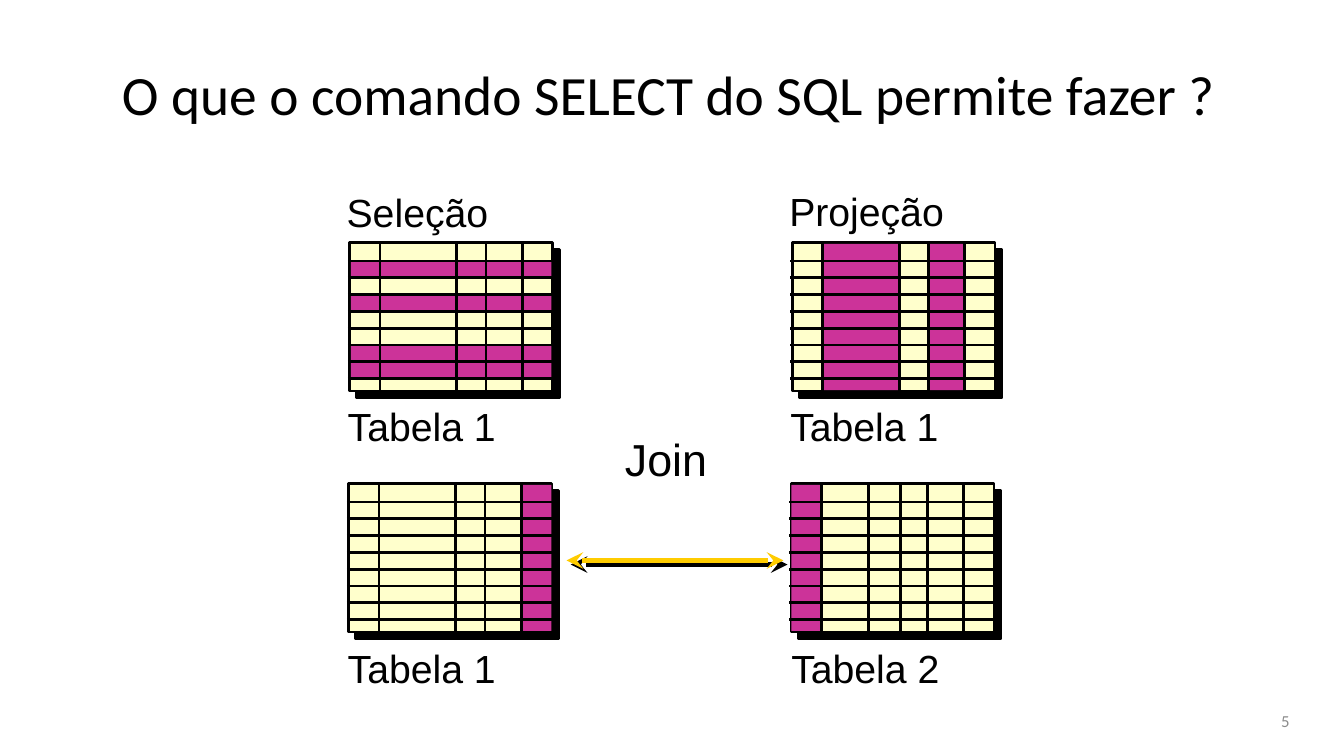
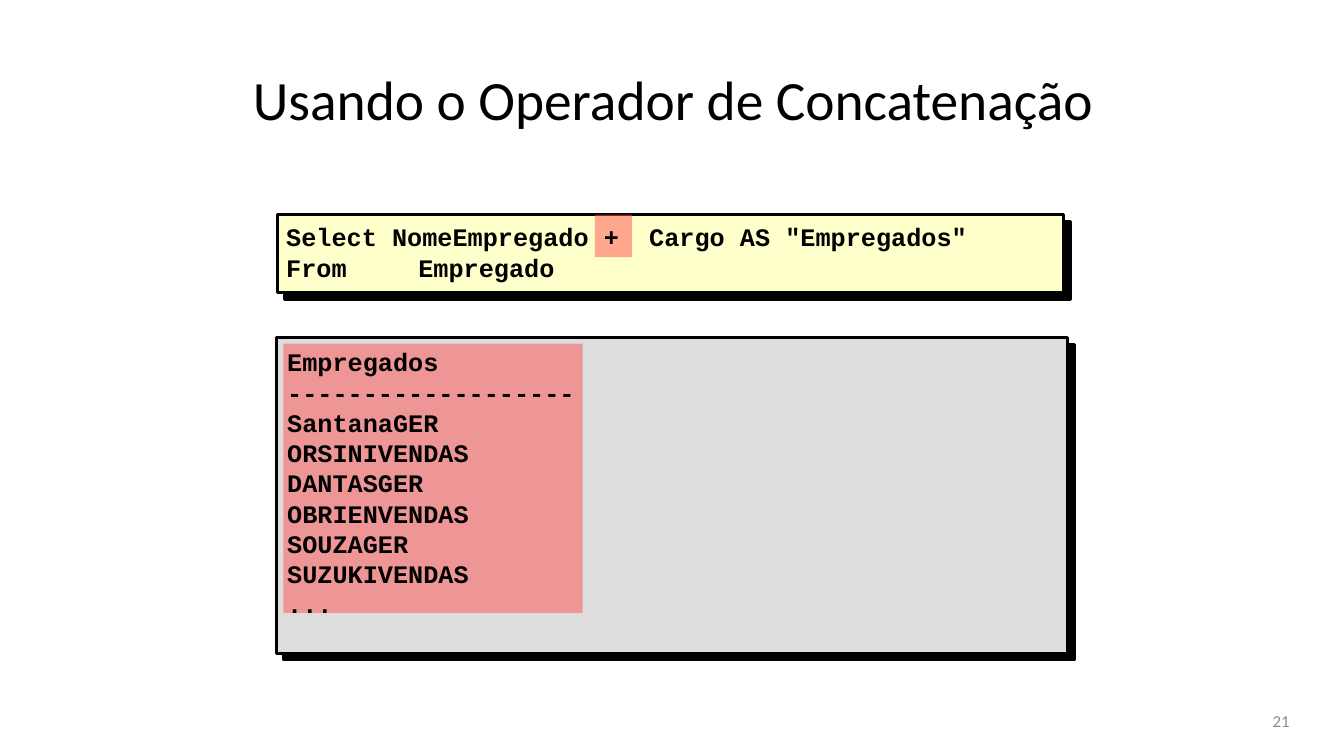
import lxml.etree
import pptx
import pptx.dml.color
import pptx.enum.shapes
import pptx.enum.text
import pptx.oxml.ns
import pptx.util

Inches = pptx.util.Inches
Pt = pptx.util.Pt
RGBColor = pptx.dml.color.RGBColor
qn = pptx.oxml.ns.qn
SubElement = lxml.etree.SubElement
ALIGN = pptx.enum.text.PP_ALIGN
ANCHOR = pptx.enum.text.MSO_ANCHOR

BLACK = RGBColor(0x00, 0x00, 0x00)
GRAY = RGBColor(0x8C, 0x8C, 0x8C)
LIGHT_GRAY = RGBColor(0xDD, 0xDD, 0xDD)
CREAM = RGBColor(0xFF, 0xFF, 0xCC)
MAGENTA = RGBColor(0xCC, 0x33, 0x99)
RED = RGBColor(0xFF, 0x50, 0x50)
GOLD = RGBColor(0xFF, 0xCC, 0x00)

GRID_WIDTH = 2.01
GRID_HEIGHT = 1.47
ROW_EDGES = [0, *(0.18 + i / 6 for i in range(8)), GRID_HEIGHT]
COLUMNS = (0.3, 1.06, 1.35, 1.71)
JOIN_COLUMNS = (0.3, 0.76, 1.08, 1.35, 1.71)


def add_text(slide, box, lines, font_name, size, color=BLACK, bold=False,
             align=ALIGN.LEFT, anchor=ANCHOR.TOP, wrap=True, spacing=None):
    shape = slide.shapes.add_textbox(*map(Inches, box))
    frame = shape.text_frame
    frame.word_wrap = wrap
    frame.vertical_anchor = anchor
    frame.text = "\n".join(lines)
    for paragraph in frame.paragraphs:
        paragraph.alignment = align
        paragraph.line_spacing = spacing
        font = paragraph.font
        font.name = font_name
        font.size = Pt(size)
        font.bold = bold
        font.color.rgb = color
    return shape


def add_title(slide, box, text):
    add_text(slide, box, [text], "Calibri", 39.6, anchor=ANCHOR.MIDDLE)


def add_slide_number(slide, number):
    add_text(slide, (9.78, 6.95, 3.11, 0.4), [str(number)], "Calibri", 12,
             GRAY, align=ALIGN.RIGHT, anchor=ANCHOR.MIDDLE)


def add_label(slide, left, top, width, text, size=28):
    add_text(slide, (left, top, width, size / 50), [text], "Arial", size,
             wrap=False)


def add_code(slide, box, lines, anchor=ANCHOR.TOP):
    return add_text(slide, box, lines, "Courier New", 18, bold=True,
                    anchor=anchor, spacing=Pt(21.6))


def add_shadow(effects, distance):
    shadow = SubElement(effects, qn("a:outerShdw"), blurRad="0",
                        dist=str(Pt(distance)), dir="2700000",
                        algn="ctr", rotWithShape="0")
    SubElement(shadow, qn("a:srgbClr"), val=str(BLACK))


def add_rectangle(slide, box, color, opacity=None):
    shape = slide.shapes.add_shape(
        pptx.enum.shapes.MSO_SHAPE.RECTANGLE, *map(Inches, box))
    shape.shadow.inherit = False
    shape.fill.solid()
    shape.fill.fore_color.rgb = color
    shape.line.fill.background()
    if opacity:
        fill = shape._element.spPr.find(qn("a:solidFill"))
        SubElement(fill[0], qn("a:alpha"), val=str(opacity * 1000))
    return shape


def add_panel(slide, box, color):
    panel = add_rectangle(slide, box, color)
    panel.line.color.rgb = BLACK
    panel.line.width = Pt(2)
    add_shadow(panel._element.spPr.find(qn("a:effectLst")), 7.1)


def add_line(slide, ends, color=BLACK, width=2):
    line = slide.shapes.add_connector(
        pptx.enum.shapes.MSO_CONNECTOR.STRAIGHT, *map(Inches, ends))
    line.line.color.rgb = color
    line.line.width = Pt(width)
    SubElement(line._element.spPr, qn("a:effectLst"))
    return line


def add_double_arrow(slide, ends):
    arrow = add_line(slide, ends, GOLD, 4)
    properties = arrow._element.spPr
    outline = properties.find(qn("a:ln"))
    for end in ("a:headEnd", "a:tailEnd"):
        SubElement(outline, qn(end), type="stealth")
    add_shadow(properties.find(qn("a:effectLst")), 4.2)


def add_grid(slide, left, top, columns, marked_rows=(), marked_columns=()):
    add_panel(slide, (left, top, GRID_WIDTH, GRID_HEIGHT), CREAM)
    column_edges = [0, *columns, GRID_WIDTH]
    for row in marked_rows:
        start, end = ROW_EDGES[row:row + 2]
        add_rectangle(slide, (left + 0.01, top + start, GRID_WIDTH - 0.02,
                              end - start), MAGENTA)
    for column in marked_columns:
        start, end = column_edges[column:column + 2]
        add_rectangle(slide, (left + start, top + 0.01, end - start,
                              GRID_HEIGHT - 0.02), MAGENTA)
    for x in columns:
        add_line(slide, (left + x, top - 0.01, left + x, top + 1.49))
    for y in ROW_EDGES[1:-1]:
        add_line(slide, (left - 0.02, top + y, left + 2.02, top + y))


def build_select_slide(slide):
    add_title(slide, (1.11, 0.3, 11.78, 1.25),
              "O que o comando SELECT do SQL permite fazer ?")
    add_grid(slide, 3.47, 2.41, COLUMNS, marked_rows=(1, 3, 6, 7))
    add_grid(slide, 7.86, 2.41, COLUMNS, marked_columns=(1, 3))
    add_grid(slide, 3.46, 4.8, COLUMNS, marked_columns=(4,))
    add_grid(slide, 7.85, 4.8, JOIN_COLUMNS, marked_columns=(0,))
    add_label(slide, 3.34, 1.82, 1.63, "Seleção")
    add_label(slide, 7.73, 1.81, 1.76, "Projeção")
    add_label(slide, 3.35, 3.94, 1.69, "Tabela 1")
    add_label(slide, 7.74, 3.94, 1.69, "Tabela 1")
    add_label(slide, 3.35, 6.34, 1.69, "Tabela 1")
    add_label(slide, 7.75, 6.34, 1.69, "Tabela 2")
    add_label(slide, 6.1, 4.23, 1.03, "Join", 32)
    add_double_arrow(slide, (5.62, 5.56, 7.77, 5.56))
    add_slide_number(slide, 5)


def build_concatenation_slide(slide):
    add_title(slide, (2.41, 0.44, 8.84, 1.08),
              "Usando o Operador de Concatenação")
    add_panel(slide, (2.75, 2.13, 7.8, 0.77), CREAM)
    add_panel(slide, (2.74, 3.35, 7.85, 3.13), LIGHT_GRAY)
    add_rectangle(slide, (5.9, 2.13, 0.37, 0.42), RED, 50)
    add_rectangle(slide, (2.81, 3.41, 2.97, 2.67), RED, 50)
    query = add_code(slide, (2.74, 2.1, 7.82, 0.8), [
        'Select NomeEmpregado +  Cargo AS "Empregados"',
        "From\tEmpregado"], ANCHOR.MIDDLE)
    properties = query.text_frame.paragraphs[1]._p.get_or_add_pPr()
    tab_list = lxml.etree.Element(qn("a:tabLst"))
    SubElement(tab_list, qn("a:tab"), pos=str(Inches(1.31)), algn="l")
    properties.find(qn("a:defRPr")).addprevious(tab_list)
    add_code(slide, (2.75, 3.39, 7.82, 2.83), [
        "Empregados", "-" * 19, "SantanaGER", "ORSINIVENDAS", "DANTASGER",
        "OBRIENVENDAS", "SOUZAGER", "SUZUKIVENDAS", "..."])
    add_slide_number(slide, 21)


def main():
    presentation = pptx.Presentation()
    presentation.slide_width = Inches(13.33)
    presentation.slide_height = Inches(7.5)
    blank = presentation.slide_layouts[6]
    for build in (build_select_slide, build_concatenation_slide):
        build(presentation.slides.add_slide(blank))
    presentation.save("out.pptx")


main()
